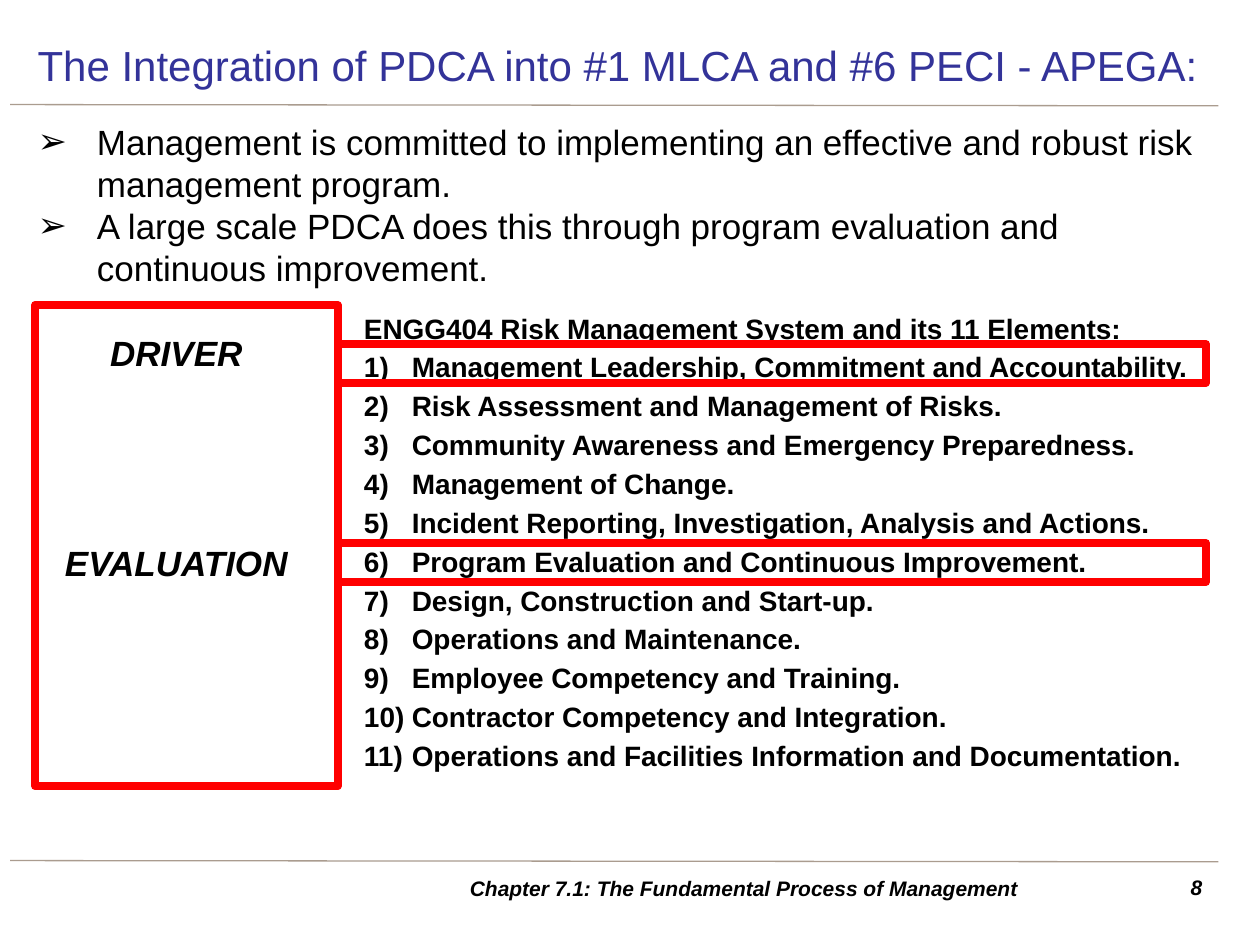
from typing import NamedTuple, Optional

from lxml.etree import SubElement
from pptx import Presentation
from pptx.dml.color import RGBColor
from pptx.enum.shapes import MSO_CONNECTOR as Connector, MSO_SHAPE as Shape
from pptx.enum.text import MSO_ANCHOR as Anchor, PP_ALIGN as Align
from pptx.oxml.ns import qn
from pptx.util import Emu, Pt

EMU_PER_PX = 9144  # 100 px to the inch
BLACK = RGBColor(0, 0, 0)
WHITE = RGBColor(255, 255, 255)
RED = RGBColor(255, 0, 0)
TITLE_BLUE = RGBColor(0x33, 0x33, 0x99)
RULE_TAUPE = RGBColor(0xAA, 0x9C, 0x8F)

ELEMENTS = [
    "Management Leadership, Commitment and Accountability.",
    "Risk Assessment and Management of Risks.",
    "Community Awareness and Emergency Preparedness.",
    "Management of Change.",
    "Incident Reporting, Investigation, Analysis and Actions.",
    "Program Evaluation and Continuous Improvement.",
    "Design, Construction and Start-up.",
    "Operations and Maintenance.",
    "Employee Competency and Training.",
    "Contractor Competency and Integration.",
    "Operations and Facilities Information and Documentation.",
]
COMMITMENTS = [
    "Management is committed to implementing an effective and robust "
    "risk management program.",
    "A large scale PDCA does this through program evaluation and "
    "continuous improvement.",
]


class Box(NamedTuple):
    left: int
    top: int
    width: int
    height: int


class Item(NamedTuple):
    text: str
    bullet: Optional[str] = None  # "1)" numbers the item, others are characters
    indent: int = 0
    before: float = 0
    after: float = 0


def px(length: int) -> Emu:
    return Emu(length * EMU_PER_PX)


def add_rectangle(slide, box: Box, fill=None, line=None):
    shape = slide.shapes.add_shape(Shape.RECTANGLE, *map(px, box))
    shape.shadow.inherit = False
    if fill is None:
        shape.fill.background()
    else:
        shape.fill.solid()
        shape.fill.fore_color.rgb = fill
    if line is None:
        shape.line.fill.background()
    else:
        shape.line.color.rgb = line
        shape.line.width = Pt(4.5)
    return shape


def add_bullet(paragraph, item: Item) -> None:
    properties = paragraph._p.get_or_add_pPr()
    properties.set("marL", str(px(item.indent)))
    properties.set("indent", str(-px(item.indent)))
    if item.bullet == "1)":
        SubElement(properties, qn("a:buFont"), typeface="+mj-lt")
        SubElement(properties, qn("a:buAutoNum"), type="arabicParenR")
    else:
        SubElement(properties, qn("a:buFont"), typeface="Arial")
        SubElement(properties, qn("a:buChar"), char=item.bullet)


def write_text(shape, items: list[Item], *, size: int, color=BLACK, bold=False,
               italic=False, align=Align.LEFT, anchor=Anchor.TOP) -> None:
    frame = shape.text_frame
    frame.word_wrap = True
    frame.vertical_anchor = anchor
    for index, item in enumerate(items):
        paragraph = frame.paragraphs[0] if index == 0 else frame.add_paragraph()
        if item.bullet:
            add_bullet(paragraph, item)
        paragraph.alignment = align
        paragraph.space_before = Pt(item.before)
        paragraph.space_after = Pt(item.after)
        run = paragraph.add_run()
        run.text = item.text
        font = run.font
        font.name, font.size = "Arial", Pt(size)
        font.bold, font.italic = bold, italic
        font.color.rgb = color


def add_text(slide, box: Box, items: list[Item], **text_format) -> None:
    write_text(slide.shapes.add_textbox(*map(px, box)), items, **text_format)


def add_rule(slide, top: int) -> None:
    rule = slide.shapes.add_connector(
        Connector.STRAIGHT, px(8), px(top), px(967), px(top + 1))
    rule.line.color.rgb = RULE_TAUPE
    rule.line.width = Pt(0.75)
    SubElement(rule._element.spPr, qn("a:effectLst"))


def main() -> None:
    presentation = Presentation()
    presentation.slide_width, presentation.slide_height = px(1000), px(750)
    slide = presentation.slides.add_slide(presentation.slide_layouts[6])

    # Header and footer rules
    for top in (83, 683):
        add_rule(slide, top)

    # Commitments
    add_text(slide, Box(20, 91, 945, 583),
             [Item(text, "➢", 47) for text in COMMITMENTS], size=20)

    # Title on a translucent white band
    title = add_rectangle(slide, Box(20, 24, 945, 55), WHITE)
    white = title.fill._xPr.find(qn("a:solidFill"))[0]
    SubElement(white, qn("a:alpha"), val="70000")
    write_text(title,
               [Item("The Integration of PDCA into #1 MLCA and #6 PECI - APEGA:")],
               size=24, color=TITLE_BLUE, anchor=Anchor.MIDDLE)

    # Page number
    add_text(slide, Box(906, 689, 58, 31), [Item("8")],
             size=12, bold=True, italic=True, align=Align.RIGHT)

    # Roles, each level with its element in the list
    roles = add_rectangle(slide, Box(20, 258, 240, 212), WHITE)
    write_text(roles, [Item("DRIVER"), Item("EVALUATION", before=96)],
               size=20, bold=True, italic=True, align=Align.CENTER)

    # Numbered elements
    elements = add_rectangle(slide, Box(279, 242, 691, 382), WHITE)
    heading = Item("ENGG404 Risk Management System and its 11 Elements:", after=3)
    write_text(elements,
               [heading] + [Item(text, "1)", 38, after=3) for text in ELEMENTS],
               size=16, bold=True)

    # Red frames around the roles and elements 6 and 1
    for frame in (Box(28, 242, 240, 382), Box(268, 431, 689, 31),
                  Box(268, 273, 689, 31)):
        add_rectangle(slide, frame, line=RED)

    # Footer
    add_text(slide, Box(295, 689, 591, 31),
             [Item("Chapter 7.1: The Fundamental Process of Management")],
             size=12, bold=True, italic=True, align=Align.CENTER,
             anchor=Anchor.MIDDLE)

    presentation.save("out.pptx")


if __name__ == "__main__":
    main()
